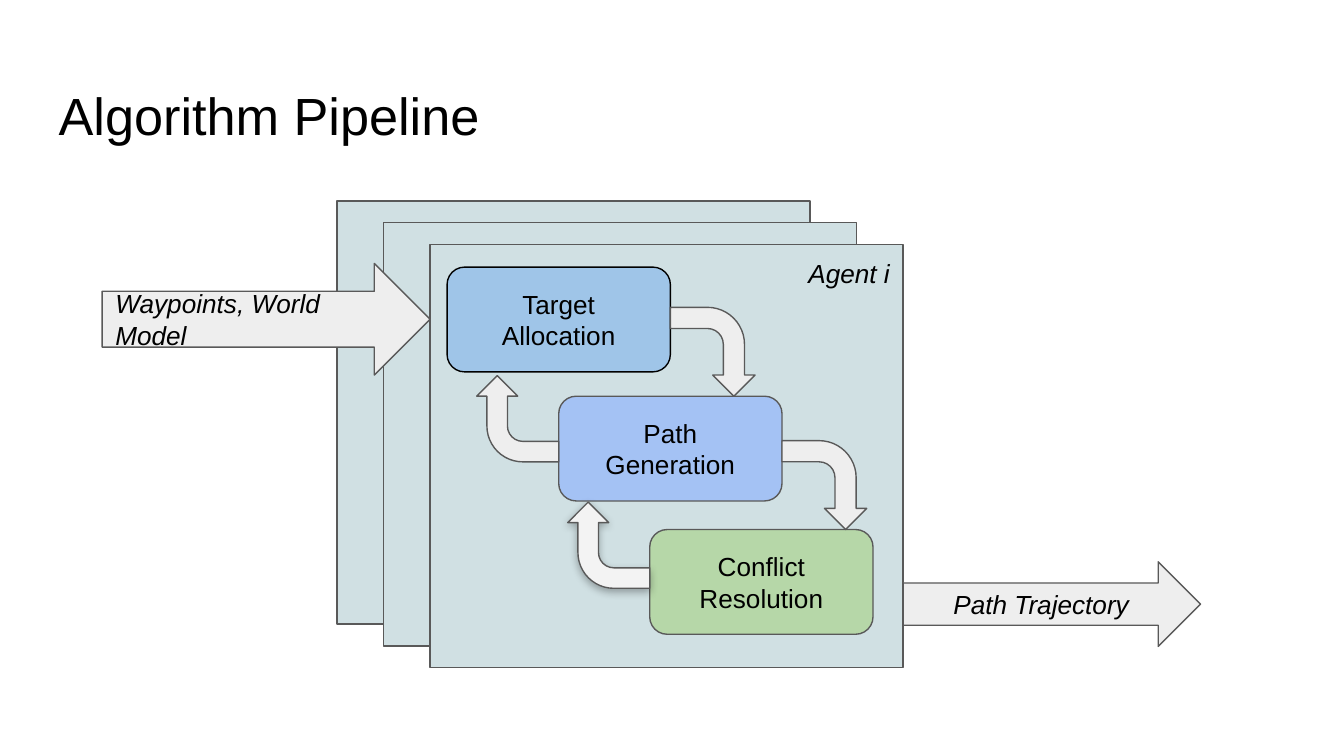
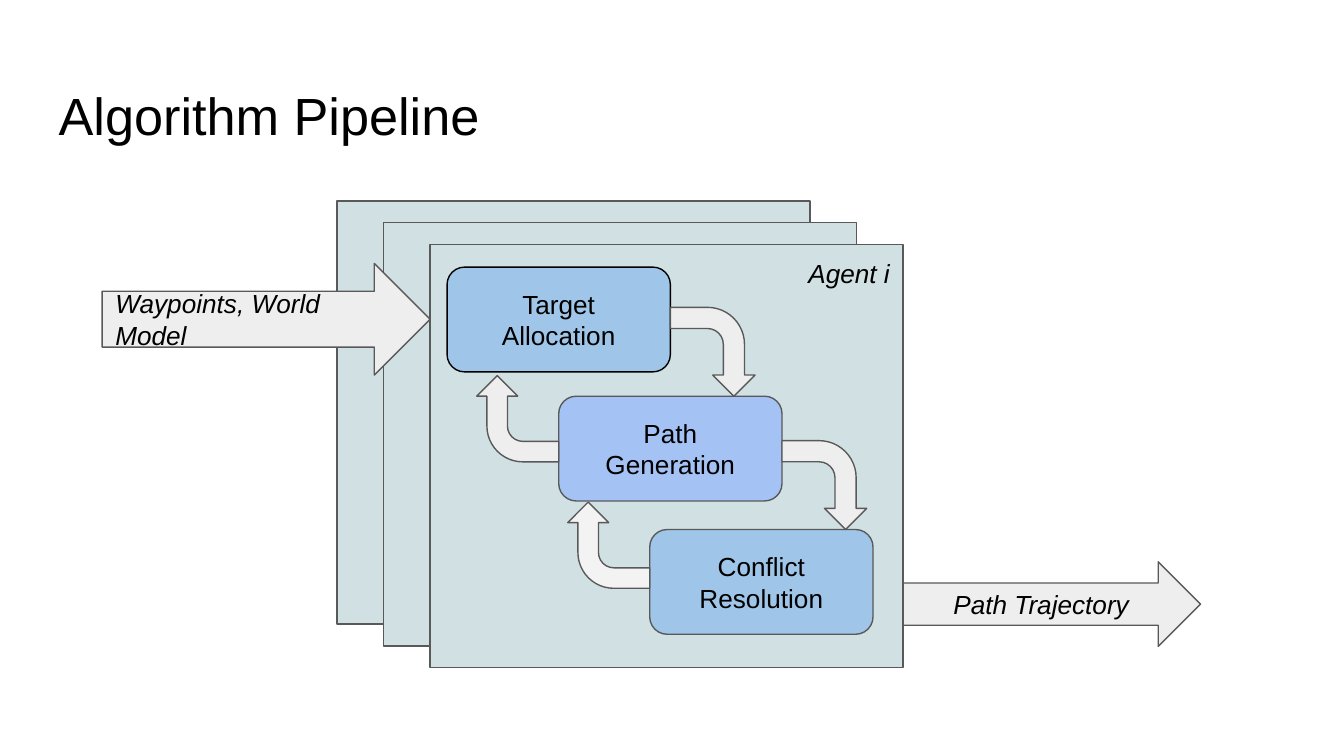
from lxml import etree
from pptx import Presentation
from pptx.dml.color import RGBColor
from pptx.enum import shapes as sh, text as tx
from pptx.oxml import ns
from pptx.util import Cm, Pt

FONT = "Arial"
BLACK, OUTLINE = "000000", "595959"
PANEL, ARROW, PALE_ARROW = "D0E0E3", "EEEEEE", "F3F3F3"
SKY, PERIWINKLE, GREEN = "9FC5E8", "A4C2F4", "B6D7A8"
INSET = 0.25

# Boxes are (left, top, width, height) in centimetres
TITLE_BOX = (0.86, 1.32, 23.67, 1.6)
AGENT_BOX = (8.13, 4.62, 8.94, 8.0)
STACK_STEP = (0.88, 0.41)
STAGE_SIZE = (4.22, 1.98)
# Stage name and its offset inside the agent panel
STAGES = [
    ("Target Allocation", 0.32, 0.43),
    ("Path Generation", 2.43, 2.87),
    ("Conflict Resolution", 4.15, 5.39),
]


def color(hex_string):
    return RGBColor.from_string(hex_string)


def write(shape, words, size, align, anchor, italic=False):
    frame = shape.text_frame
    frame.text = words
    frame.word_wrap = True
    frame.auto_size = tx.MSO_AUTO_SIZE.NONE
    frame.vertical_anchor = anchor
    frame.margin_left = frame.margin_right = Cm(INSET)
    frame.margin_top = frame.margin_bottom = Cm(INSET)
    paragraph = frame.paragraphs[0]
    paragraph.alignment = align
    font = paragraph.runs[0].font
    font.name, font.size, font.italic = FONT, Pt(size), italic
    font.color.rgb = color(BLACK)


def add_block(slide, kind, box, fill, line=OUTLINE):
    block = slide.shapes.add_shape(kind, *map(Cm, box))
    block.shadow.inherit = False
    block.fill.solid()
    block.fill.fore_color.rgb = color(fill)
    block.line.color.rgb = color(line)
    block.line.width = Pt(0.75)
    return block


def add_soft_shadow(shape):
    effects = shape._element.spPr.find(ns.qn("a:effectLst"))
    shadow = etree.SubElement(
        effects, ns.qn("a:outerShdw"), blurRad=str(Pt(4.5)), dist=str(Pt(1.5)),
        dir="5400000", algn="bl", rotWithShape="0")
    tint = etree.SubElement(shadow, ns.qn("a:srgbClr"), val=BLACK)
    etree.SubElement(tint, ns.qn("a:alpha"), val="29000")


def add_title(slide, box):
    title = slide.shapes.title
    title.left, title.top, title.width, title.height = map(Cm, box)
    write(title, "Algorithm Pipeline", 28, tx.PP_ALIGN.LEFT, tx.MSO_ANCHOR.TOP)


def add_agent_stack(slide, box):
    left, top, width, height = box
    for depth in (2, 1, 0):
        panel = add_block(slide, sh.MSO_SHAPE.RECTANGLE,
                          (left - depth * STACK_STEP[0], top - depth * STACK_STEP[1],
                           width, height), PANEL)
    write(panel, "Agent i", 14, tx.PP_ALIGN.RIGHT, tx.MSO_ANCHOR.TOP, italic=True)


def add_bend(slide, center, size, rotation, fill=ARROW):
    (x, y), (width, height) = center, size
    bend = add_block(slide, sh.MSO_SHAPE.BENT_ARROW,
                     (x - width / 2, y - height / 2, width, height), fill)
    bend.rotation = rotation
    return bend


def add_stages(slide, box, conflict_fill, shadowed):
    width, height = STAGE_SIZE
    corners = [(box[0] + dx, box[1] + dy) for _, dx, dy in STAGES]
    looks = [(SKY, BLACK), (PERIWINKLE, OUTLINE), (conflict_fill, OUTLINE)]
    for (name, _, _), corner, look in zip(STAGES, corners, looks):
        stage = add_block(slide, sh.MSO_SHAPE.FLOWCHART_ALTERNATE_PROCESS,
                          (*corner, width, height), *look)
        write(stage, name, 14, tx.PP_ALIGN.CENTER, tx.MSO_ANCHOR.MIDDLE)

    # Forward bends: from a stage's right side down to the next stage's top
    length, breadth = 1.68, 1.6
    for (left, _), (_, next_top) in zip(corners, corners[1:]):
        add_bend(slide, (left + width + breadth / 2, next_top - length / 2),
                 (length, breadth), 90)

    # Feedback bends: from a stage's left side up to the previous stage's bottom
    length, breadth = 1.63, 1.55
    steps = zip(corners, corners[1:], (0.07, 0.02), (ARROW, PALE_ARROW))
    for (_, previous_top), (left, _), gap, fill in steps:
        feedback = add_bend(
            slide, (left - breadth / 2, previous_top + height + gap + length / 2),
            (length, breadth), 270, fill)
    if shadowed:
        add_soft_shadow(feedback)


def add_input_and_output(slide, box):
    left, top, width, _ = box
    flows = [
        ("Waypoints, World Model", (left - 6.2, top + 0.36, 6.2, 2.11), tx.PP_ALIGN.LEFT),
        ("Path Trajectory", (left + width, top + 6.0, 5.62, 1.6), tx.PP_ALIGN.CENTER),
    ]
    for words, arrow_box, align in flows:
        arrow = add_block(slide, sh.MSO_SHAPE.RIGHT_ARROW, arrow_box, ARROW)
        write(arrow, words, 14, align, tx.MSO_ANCHOR.MIDDLE, italic=True)


def add_pipeline_slide(deck, conflict_fill, shadowed):
    slide = deck.slides.add_slide(deck.slide_layouts[5])
    add_title(slide, TITLE_BOX)
    add_agent_stack(slide, AGENT_BOX)
    add_stages(slide, AGENT_BOX, conflict_fill, shadowed)
    add_input_and_output(slide, AGENT_BOX)


def main():
    deck = Presentation()
    deck.slide_width, deck.slide_height = Cm(25.4), Cm(14.29)
    add_pipeline_slide(deck, GREEN, shadowed=True)
    add_pipeline_slide(deck, SKY, shadowed=False)
    deck.save("out.pptx")


if __name__ == "__main__":
    main()
